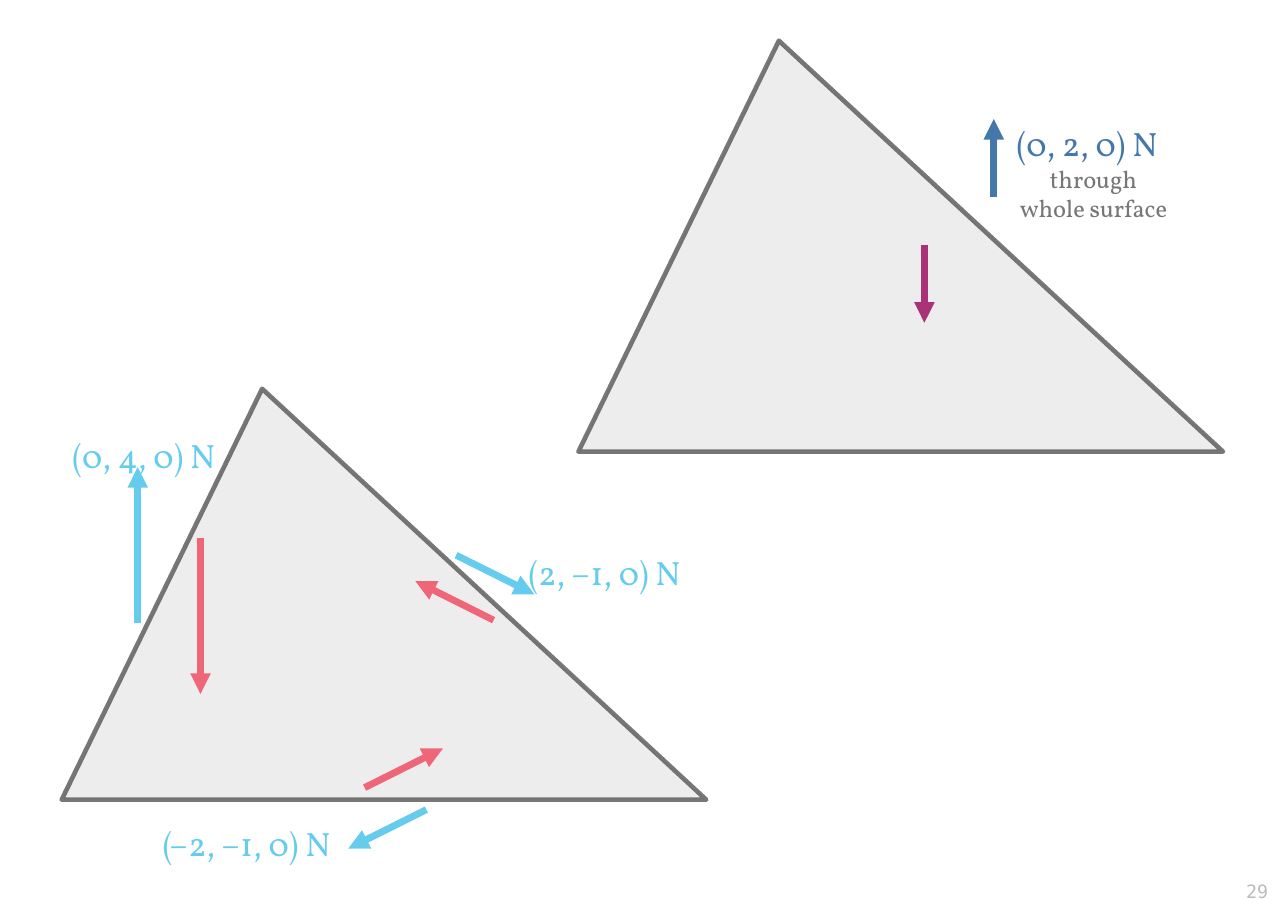
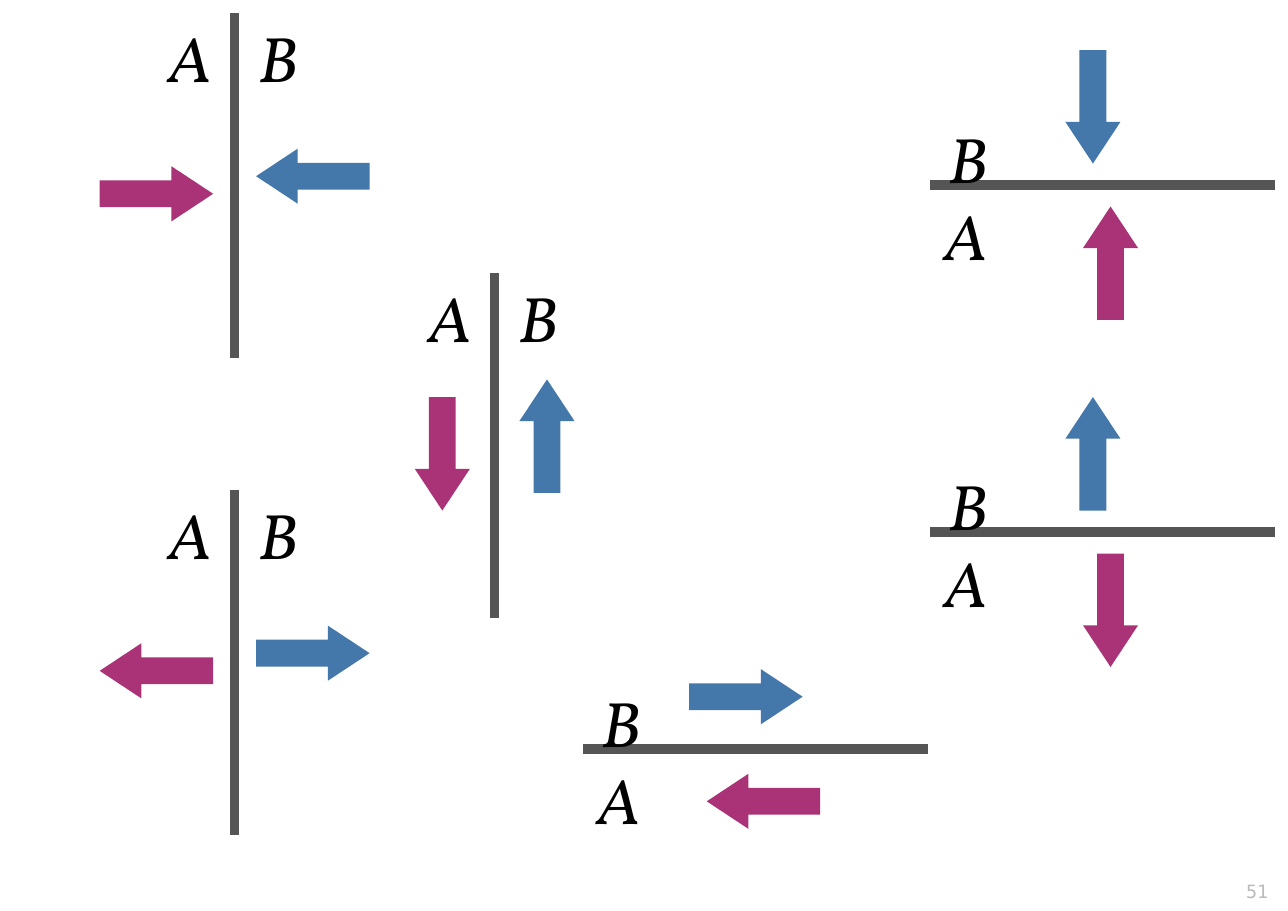
import pptx
import pptx.dml.color
import pptx.enum.shapes
import pptx.enum.text
import pptx.oxml.ns
import pptx.util
from lxml import etree

Inches = pptx.util.Inches
Pt = pptx.util.Pt
RGBColor = pptx.dml.color.RGBColor
MSO_SHAPE = pptx.enum.shapes.MSO_SHAPE
ALIGN = pptx.enum.text.PP_ALIGN
qn = pptx.oxml.ns.qn

BLACK = RGBColor(0x00, 0x00, 0x00)
DARK_GRAY = RGBColor(0x55, 0x55, 0x55)
GRAY = RGBColor(0x77, 0x77, 0x77)
LIGHT_GRAY = RGBColor(0xBB, 0xBB, 0xBB)
CYAN = RGBColor(0x66, 0xCC, 0xEE)
RED = RGBColor(0xEE, 0x66, 0x77)
BLUE = RGBColor(0x44, 0x77, 0xAA)
PURPLE = RGBColor(0xAA, 0x33, 0x77)

TEXT_FONT = "Vollkorn"
NUMBER_FONT = "DejaVu Sans Mono"
INCHES_PER_NEWTON = 0.355
INTERFACE_LENGTH = 3.13
ARROW_LENGTH, ARROW_BREADTH = 1.03, 0.5
NORMAL_GAP, SHEAR_GAP = 0.71, 0.475
BLUE_ALONG, PURPLE_ALONG = 1.48, 1.64

ARROWS = {
    "right": MSO_SHAPE.RIGHT_ARROW,
    "left": MSO_SHAPE.LEFT_ARROW,
    "up": MSO_SHAPE.UP_ARROW,
    "down": MSO_SHAPE.DOWN_ARROW,
}


def add_text(slide, text, left, top, width, height, size=22, color=BLACK,
             font=TEXT_FONT, italic=False, align=ALIGN.LEFT):
    box = slide.shapes.add_textbox(Inches(left), Inches(top), Inches(width), Inches(height))
    frame = box.text_frame
    frame.word_wrap = False
    frame.auto_size = pptx.enum.text.MSO_AUTO_SIZE.SHAPE_TO_FIT_TEXT
    frame.text = text
    for paragraph in frame.paragraphs:
        paragraph.alignment = align
        for run in paragraph.runs:
            run.font.name = font
            run.font.size = Pt(size)
            run.font.italic = italic
            run.font.color.rgb = color


def add_slide(presentation, number):
    slide = presentation.slides.add_slide(presentation.slide_layouts[6])
    add_text(slide, str(number), 10.61, 7.94, 1, 0.29, size=12, color=LIGHT_GRAY,
             font=NUMBER_FONT, align=ALIGN.RIGHT)
    return slide


def add_line(slide, start, end, color, width, arrowhead=False):
    connector = slide.shapes.add_connector(
        pptx.enum.shapes.MSO_CONNECTOR.STRAIGHT,
        *(Inches(value) for value in (*start, *end)))
    connector.line.color.rgb = color
    connector.line.width = Pt(width)
    properties = connector.element.spPr
    if arrowhead:
        etree.SubElement(properties.find(qn("a:ln")), qn("a:tailEnd"), type="triangle")
    etree.SubElement(properties, qn("a:effectLst"))


def set_opacity(fill_parent, percent):
    color = fill_parent.find(qn("a:solidFill")).find(qn("a:srgbClr"))
    etree.SubElement(color, qn("a:alpha"), val=str(percent * 1000))


def add_triangle(slide, left, top):
    triangle = slide.shapes.add_shape(
        MSO_SHAPE.ISOSCELES_TRIANGLE, Inches(left), Inches(top), Inches(5.85), Inches(3.73))
    triangle.adjustments[0] = 0.311
    triangle.shadow.inherit = False
    triangle.fill.solid()
    triangle.fill.fore_color.rgb = LIGHT_GRAY
    triangle.line.color.rgb = DARK_GRAY
    triangle.line.width = Pt(3)
    properties = triangle.element.spPr
    set_opacity(properties, 25)
    set_opacity(properties.find(qn("a:ln")), 80)


def add_force(slide, x, y, force, color):
    force_x, force_y = force
    end = (x + force_x * INCHES_PER_NEWTON, y - force_y * INCHES_PER_NEWTON)
    add_line(slide, (x, y), end, color, 4.5, arrowhead=True)


def add_block_arrow(slide, center_x, center_y, direction, color):
    width, height = ARROW_LENGTH, ARROW_BREADTH
    if direction in ("up", "down"):
        width, height = height, width
    arrow = slide.shapes.add_shape(
        ARROWS[direction], Inches(center_x - width / 2), Inches(center_y - height / 2),
        Inches(width), Inches(height))
    arrow.adjustments[0] = 0.488
    arrow.adjustments[1] = 0.756
    arrow.shadow.inherit = False
    arrow.fill.solid()
    arrow.fill.fore_color.rgb = color
    arrow.line.fill.background()


def add_side_labels(slide, a_position, b_position):
    add_text(slide, "A", *a_position, 0.62, 0.89, size=42, italic=True)
    add_text(slide, "B", *b_position, 0.55, 0.89, size=42, italic=True)


def add_vertical_interface(slide, x, y, blue_direction, purple_direction, gap):
    add_line(slide, (x, y), (x, y + INTERFACE_LENGTH), DARK_GRAY, 6)
    add_block_arrow(slide, x + gap, y + BLUE_ALONG, blue_direction, BLUE)
    add_block_arrow(slide, x - gap, y + PURPLE_ALONG, purple_direction, PURPLE)
    add_side_labels(slide, (x - 0.7, y), (x + 0.12, y))


def add_horizontal_interface(slide, x, y, blue_direction, purple_direction, gap):
    add_line(slide, (x, y), (x + INTERFACE_LENGTH, y), DARK_GRAY, 6)
    add_block_arrow(slide, x + BLUE_ALONG, y - gap, blue_direction, BLUE)
    add_block_arrow(slide, x + PURPLE_ALONG, y + gap, purple_direction, PURPLE)
    add_side_labels(slide, (x + 0.03, y + 0.05), (x + 0.07, y - 0.65))


def build_triangle_forces(presentation):
    slide = add_slide(presentation, 29)
    add_triangle(slide, 0.56, 3.53)
    add_triangle(slide, 5.25, 0.37)
    for x, y, force, color in (
        (1.25, 5.66, (0, 4), CYAN),
        (4.14, 5.04, (2, -1), CYAN),
        (3.87, 7.35, (-2, -1), CYAN),
        (4.48, 5.63, (-2, 1), RED),
        (1.82, 4.88, (0, -4), RED),
        (3.31, 7.15, (2, 1), RED),
        (9.02, 1.79, (0, 2), BLUE),
        (8.39, 2.22, (0, -2), PURPLE),
    ):
        add_force(slide, x, y, force, color)
    for text, left, top, width, color in (
        ("(0, 4, 0) N", 0.56, 3.9, 1.54, CYAN),
        ("(2, –1, 0) N", 4.7, 4.96, 1.69, CYAN),
        ("(–2, –1, 0) N", 1.38, 7.42, 1.84, CYAN),
        ("(0, 2, 0) N", 9.13, 1.07, 1.54, BLUE),
    ):
        add_text(slide, text, left, top, width, 0.52, color=color)
    add_text(slide, "through\nwhole surface", 9.1, 1.44, 1.65, 0.7, size=16,
             color=GRAY, align=ALIGN.CENTER)


def build_interface_forces(presentation):
    slide = add_slide(presentation, 51)
    add_vertical_interface(slide, 2.13, 0.12, "left", "right", NORMAL_GAP)
    add_vertical_interface(slide, 2.13, 4.45, "right", "left", NORMAL_GAP)
    add_vertical_interface(slide, 4.49, 2.48, "up", "down", SHEAR_GAP)
    add_horizontal_interface(slide, 8.44, 1.68, "down", "up", NORMAL_GAP)
    add_horizontal_interface(slide, 8.44, 4.83, "up", "down", NORMAL_GAP)
    add_horizontal_interface(slide, 5.29, 6.8, "right", "left", SHEAR_GAP)


def main():
    presentation = pptx.Presentation()
    presentation.slide_width = Inches(11.69)
    presentation.slide_height = Inches(8.27)
    build_triangle_forces(presentation)
    build_interface_forces(presentation)
    presentation.save("out.pptx")


if __name__ == "__main__":
    main()
